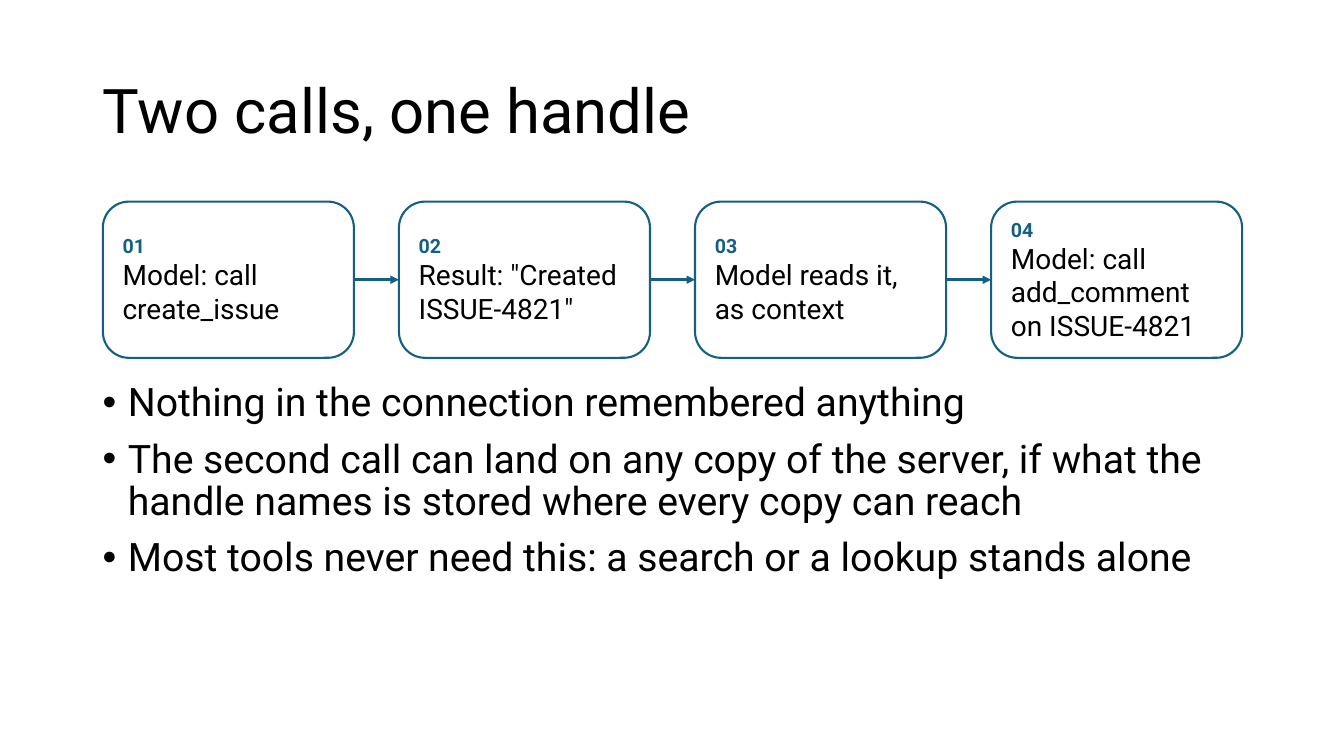
from lxml import etree
from pptx import Presentation
from pptx.dml.color import RGBColor
from pptx.enum import shapes, text
from pptx.oxml.ns import qn
from pptx.util import Inches, Pt

TITLE = "Two calls, one handle"
STEPS = [
    "Model: call create_issue",
    'Result: "Created ISSUE-4821"',
    "Model reads it, as context",
    "Model: call add_comment on ISSUE-4821",
]
POINTS = [
    "Nothing in the connection remembered anything",
    "The second call can land on any copy of the server, if what the "
    "handle names is stored where every copy can reach",
    "Most tools never need this: a search or a lookup stands alone",
]

FONT = "Roboto"
BLACK = RGBColor(0x00, 0x00, 0x00)
WHITE = RGBColor(0xFF, 0xFF, 0xFF)
TEAL = RGBColor(0x15, 0x60, 0x82)

MARGIN, CONTENT_WIDTH = 0.92, 11.5
FLOW_LEFT, FLOW_TOP, FLOW_WIDTH = 1.02, 2, 11.3
STEP_WIDTH, STEP_HEIGHT = 2.49, 1.55
STEP_PITCH = (FLOW_WIDTH - STEP_WIDTH) / (len(STEPS) - 1)


def style(para, size, color=BLACK, bold=False):
    for span in para.runs:
        span.font.name = FONT
        span.font.size = Pt(size)
        span.font.bold = bold
        span.font.color.rgb = color


def add_title(slide):
    title = slide.shapes.title
    title.left, title.top = Inches(MARGIN), Inches(0.4)
    title.width, title.height = Inches(CONTENT_WIDTH), Inches(1.45)
    frame = title.text_frame
    frame.text = TITLE
    frame.auto_size = text.MSO_AUTO_SIZE.NONE
    frame.vertical_anchor = text.MSO_ANCHOR.MIDDLE
    para = frame.paragraphs[0]
    para.alignment = text.PP_ALIGN.LEFT
    para.line_spacing = 0.9
    style(para, 44)


def add_step(slide, index, label):
    box = slide.shapes.add_shape(
        shapes.MSO_SHAPE.ROUNDED_RECTANGLE,
        Inches(FLOW_LEFT + index * STEP_PITCH), Inches(FLOW_TOP),
        Inches(STEP_WIDTH), Inches(STEP_HEIGHT))
    box.shadow.inherit = False
    box.fill.solid()
    box.fill.fore_color.rgb = WHITE
    box.line.color.rgb = TEAL
    box.line.width = Pt(1.5)
    frame = box.text_frame
    frame.word_wrap = True
    frame.vertical_anchor = text.MSO_ANCHOR.MIDDLE
    frame.margin_left = frame.margin_right = Inches(0.12)
    frame.margin_top = frame.margin_bottom = Inches(0.06)
    frame.text = f"{index + 1:02}\n{label}"
    number, caption = frame.paragraphs
    number.alignment = caption.alignment = text.PP_ALIGN.LEFT
    style(number, 14, TEAL, bold=True)
    style(caption, 20)
    return box


def add_arrow(slide, start, end):
    arrow = slide.shapes.add_connector(shapes.MSO_CONNECTOR.STRAIGHT, 0, 0, 0, 0)
    arrow.begin_connect(start, 3)
    arrow.end_connect(end, 1)
    arrow.line.color.rgb = TEAL
    arrow.line.width = Pt(2)
    etree.SubElement(arrow.line._get_or_add_ln(), qn("a:tailEnd"), type="triangle")
    etree.SubElement(arrow._element.spPr, qn("a:effectLst"))


def add_points(slide):
    box = slide.shapes.add_textbox(
        Inches(MARGIN), Inches(3.75), Inches(CONTENT_WIDTH), Inches(3.01))
    frame = box.text_frame
    frame.word_wrap = True
    frame.text = "\n".join(POINTS)
    for index, para in enumerate(frame.paragraphs):
        para.line_spacing = 0.9
        para.space_before = Pt(10 if index else 0)
        props = para._p.get_or_add_pPr()
        props.set("marL", str(Inches(0.25)))
        props.set("indent", str(Inches(-0.25)))
        etree.SubElement(props, qn("a:buFont"), typeface="Arial")
        etree.SubElement(props, qn("a:buChar"), char="•")
        style(para, 28)


def main():
    deck = Presentation()
    deck.slide_width, deck.slide_height = Inches(13.33), Inches(7.5)
    slide = deck.slides.add_slide(deck.slide_layouts[5])
    add_title(slide)
    boxes = [add_step(slide, index, label) for index, label in enumerate(STEPS)]
    for start, end in zip(boxes, boxes[1:]):
        add_arrow(slide, start, end)
    add_points(slide)
    deck.save("out.pptx")


if __name__ == "__main__":
    main()
